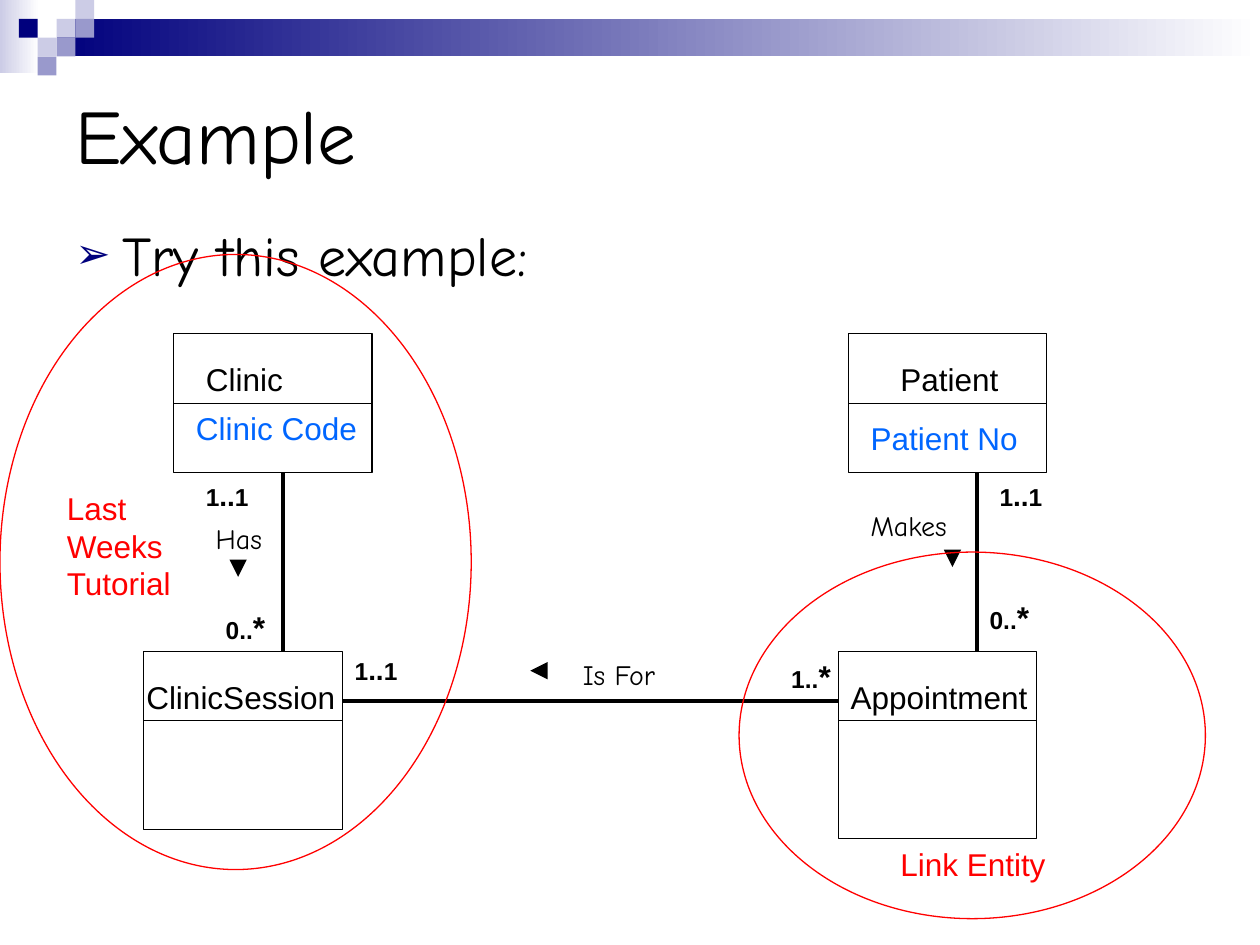
from typing import NamedTuple

from lxml import etree
from pptx import Presentation
from pptx.dml.color import RGBColor
from pptx.enum import shapes, text
from pptx.oxml import ns
from pptx.util import Cm, Pt

BLACK = RGBColor(0x00, 0x00, 0x00)
WHITE = RGBColor(0xFF, 0xFF, 0xFF)
NAVY = RGBColor(0x00, 0x00, 0x7D)
LAVENDER = RGBColor(0xCC, 0xCC, 0xE6)
VIOLET = RGBColor(0x99, 0x99, 0xCC)
RED = RGBColor(0xFF, 0x00, 0x00)
KEY_BLUE = RGBColor(0x00, 0x66, 0xFF)

SANS = "Arial"
COMIC = "Comic Neue"
TILE = 0.38
ENTITY_WIDTH = 4.0
NAME_HEIGHT = 1.4
THIN, THICK = 0.75, 2.25


class Span(NamedTuple):
    words: str
    size: float = 18
    font: str = SANS
    color: RGBColor = BLACK
    bold: bool = False


class Label(NamedTuple):
    left: float
    top: float
    width: float
    spans: list[Span]
    height: float = 1.02


class Tile(NamedTuple):
    column: int
    row: int
    color: RGBColor


class Entity(NamedTuple):
    left: float
    top: float
    height: float


class Line(NamedTuple):
    x1: float
    y1: float
    x2: float
    y2: float
    width: float = THIN
    arrow: bool = False


class Ring(NamedTuple):
    left: float
    top: float
    width: float
    height: float


def comic(words: str) -> list[Span]:
    return [Span(words, 16, COMIC)]


def one_to_one() -> list[Span]:
    return [Span("1", 14, bold=True), Span("..", 16, bold=True), Span("1", 14, bold=True)]


def to_many(minimum: str) -> list[Span]:
    return [Span(minimum + "..", 14, bold=True), Span("*", 18, bold=True)]


TILES = [
    Tile(3, 1, LAVENDER), Tile(4, 0, LAVENDER), Tile(4, 1, VIOLET), Tile(2, 2, LAVENDER),
    Tile(1, 1, NAVY), Tile(3, 2, VIOLET), Tile(2, 3, VIOLET),
]
CLINIC = Entity(3.5, 6.73, 2.8)
PATIENT = Entity(17.1, 6.73, 2.8)
SESSION = Entity(2.9, 13.13, 3.6)
APPOINTMENT = Entity(16.9, 13.13, 3.78)
ENTITIES = [CLINIC, PATIENT, SESSION, APPOINTMENT]

LINES = [
    Line(SESSION.left + ENTITY_WIDTH, 14.13, APPOINTMENT.left, 14.13, THICK),
    Line(5.7, SESSION.top, 5.7, CLINIC.top + CLINIC.height, THICK),
    Line(19.7, APPOINTMENT.top, 19.7, PATIENT.top + PATIENT.height, THICK),
    Line(10.69, 13.52, 10.9, 13.52, arrow=True),
    Line(19.2, 11.43, 19.2, 11.23, arrow=True),
    Line(4.8, 11.63, 4.8, 11.43, arrow=True),
]
RINGS = [Ring(14.9, 11.13, 9.4, 7.39), Ring(0, 5.13, 9.5, 12.4)]
LABELS = [
    Label(3.9, 7.14, 3.2, [Span("Clinic")]),
    Label(17.9, 7.14, 3.2, [Span("Patient")]),
    Label(2.7, 13.54, 4.39, [Span("ClinicSession")]),
    Label(16.9, 13.54, 4.5, [Span("Appointment")]),
    Label(3.7, 8.13, 4.19, [Span("Clinic Code", color=KEY_BLUE)]),
    Label(17.3, 8.33, 4.19, [Span("Patient No", color=KEY_BLUE)]),
    Label(11.5, 13.13, 2.39, comic("Is For"), 0.94),
    Label(17.3, 10.13, 2.59, comic("Makes"), 0.94),
    Label(4.1, 10.39, 1.8, comic("Has"), 0.94),
    Label(6.9, 13.03, 1.8, one_to_one(), 0.94),
    Label(19.9, 9.53, 1.8, one_to_one(), 0.94),
    Label(3.9, 9.53, 1.8, one_to_one(), 0.94),
    Label(15.7, 13.13, 1.4, to_many("1")),
    Label(19.7, 11.94, 1.4, to_many("0")),
    Label(4.3, 12.13, 1.4, to_many("0")),
    Label(17.9, 16.92, 3.61, [Span("Link Entity", color=RED)]),
    Label(1.1, 9.73, 3.61, [Span("Last Weeks Tutorial", color=RED)], 2.54),
]
TITLE = Label(1.27, 1.27, 22.86, [Span("Example", 44, COMIC)], 2.84)
BODY = Label(1.27, 4.32, 22.86, [Span("Try this example:", 32, COMIC)], 2.01)


def add_preset(page, kind, left: float, top: float, width: float, height: float):
    """Add a shape with neither shadow, fill nor outline."""
    shape = page.shapes.add_shape(kind, Cm(left), Cm(top), Cm(width), Cm(height))
    shape.shadow.inherit = False
    shape.fill.background()
    shape.line.fill.background()
    return shape


def draw_gradient(page, left: float, top: float, width: float, height: float,
                  start: RGBColor) -> None:
    band = add_preset(page, shapes.MSO_SHAPE.RECTANGLE, left, top, width, height)
    band.fill.gradient()
    band.fill.gradient_angle = 0
    for stop, color, position in zip(band.fill.gradient_stops, (start, WHITE), (0, 1)):
        stop.color.rgb = color
        stop.position = position


def draw_tile(page, tile: Tile) -> None:
    square = add_preset(page, shapes.MSO_SHAPE.RECTANGLE,
                        tile.column * TILE, tile.row * TILE, TILE, TILE)
    square.fill.solid()
    square.fill.fore_color.rgb = tile.color


def draw_line(page, line: Line) -> None:
    connector = page.shapes.add_connector(
        shapes.MSO_CONNECTOR.STRAIGHT, Cm(line.x1), Cm(line.y1), Cm(line.x2), Cm(line.y2))
    connector.line.color.rgb = BLACK
    connector.line.width = Pt(line.width)
    if line.arrow:
        etree.SubElement(connector.line._get_or_add_ln(), ns.qn("a:headEnd"),
                         type="triangle", w="lg", len="lg")
    etree.SubElement(connector._element.spPr, ns.qn("a:effectLst"))


def draw_outline(page, kind, left: float, top: float, width: float, height: float,
                 color: RGBColor) -> None:
    shape = add_preset(page, kind, left, top, width, height)
    shape.line.color.rgb = color
    shape.line.width = Pt(THIN)


def draw_entity(page, entity: Entity) -> None:
    draw_outline(page, shapes.MSO_SHAPE.RECTANGLE, entity.left, entity.top,
                 ENTITY_WIDTH, entity.height, BLACK)
    divider = entity.top + NAME_HEIGHT
    draw_line(page, Line(entity.left, divider, entity.left + ENTITY_WIDTH, divider))


def draw_label(page, label: Label):
    box = page.shapes.add_textbox(Cm(label.left), Cm(label.top), Cm(label.width), Cm(label.height))
    box.text_frame.word_wrap = True
    para = box.text_frame.paragraphs[0]
    for span in label.spans:
        run = para.add_run()
        run.text = span.words
        run.font.name = span.font
        run.font.size = Pt(span.size)
        run.font.bold = span.bold
        run.font.color.rgb = span.color
    return box


def add_bullet(para, symbol: str, color: RGBColor) -> None:
    properties = para._p.get_or_add_pPr()
    properties.set("marL", str(Cm(0.95)))
    properties.set("indent", str(-Cm(0.95)))
    bullet_color = etree.SubElement(properties, ns.qn("a:buClr"))
    etree.SubElement(bullet_color, ns.qn("a:srgbClr"), val=str(color))
    etree.SubElement(properties, ns.qn("a:buSzPct"), val="75000")
    etree.SubElement(properties, ns.qn("a:buFont"), typeface=SANS)
    etree.SubElement(properties, ns.qn("a:buChar"), char=symbol)


def main() -> None:
    deck = Presentation()
    deck.slide_width, deck.slide_height = Cm(25.4), Cm(19.05)
    page = deck.slides.add_slide(deck.slide_layouts[6])

    draw_gradient(page, 0, 0, 0.79, 1.47, LAVENDER)
    draw_gradient(page, 3 * TILE, TILE, 25.4 - 3 * TILE, 2 * TILE, NAVY)
    for tile in TILES:
        draw_tile(page, tile)

    title = draw_label(page, TITLE)
    title.text_frame.vertical_anchor = text.MSO_ANCHOR.MIDDLE
    body = draw_label(page, BODY)
    add_bullet(body.text_frame.paragraphs[0], "➢", NAVY)

    for entity in ENTITIES:
        draw_entity(page, entity)
    for line in LINES:
        draw_line(page, line)
    for ring in RINGS:
        draw_outline(page, shapes.MSO_SHAPE.OVAL, *ring, RED)
    for label in LABELS:
        draw_label(page, label)
    deck.save("out.pptx")


if __name__ == "__main__":
    main()
